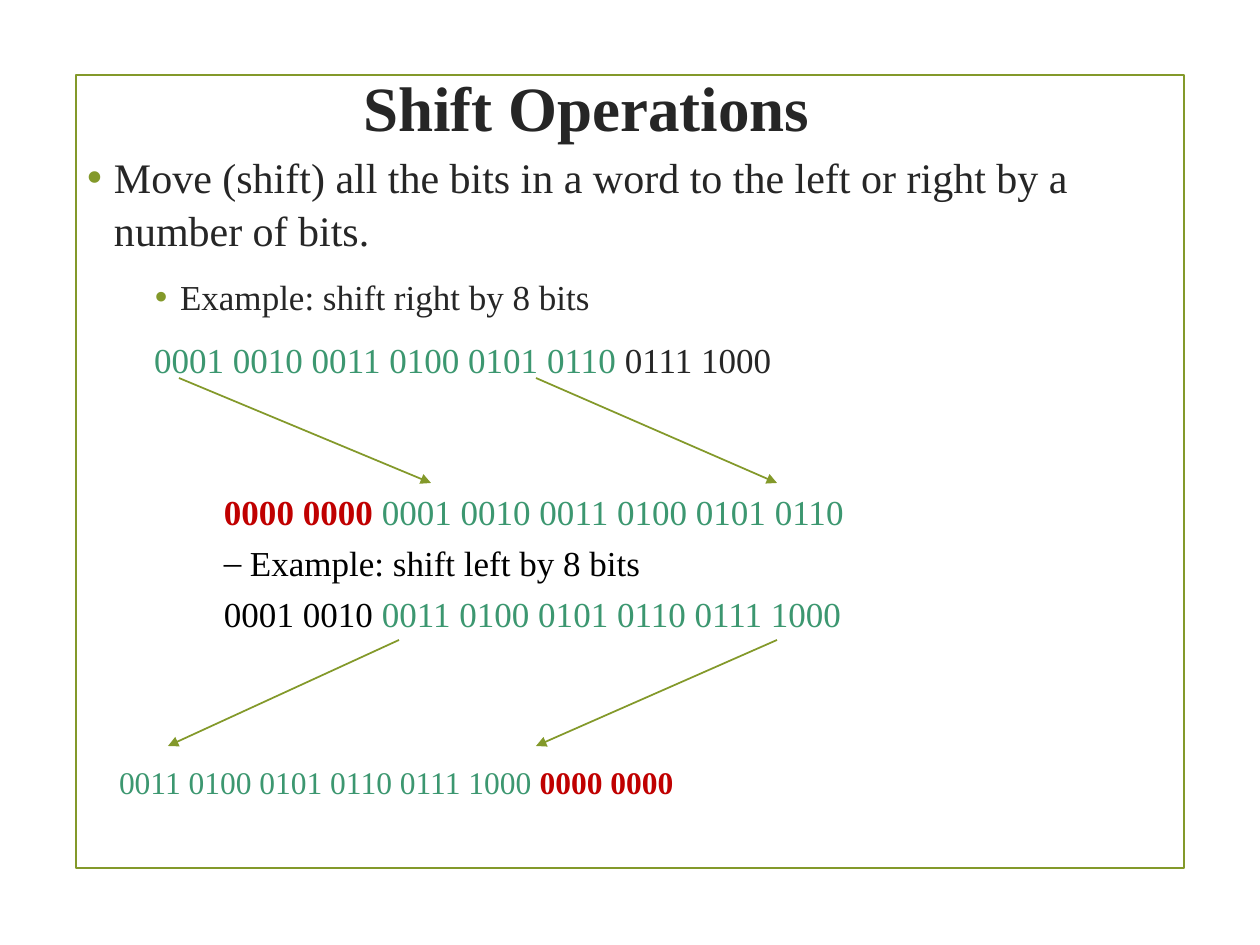
from typing import NamedTuple

from lxml.etree import SubElement
from pptx import Presentation
from pptx.dml.color import RGBColor
from pptx.enum.shapes import MSO_CONNECTOR, MSO_SHAPE
from pptx.enum.text import MSO_ANCHOR, MSO_AUTO_SIZE, PP_ALIGN
from pptx.oxml.ns import qn
from pptx.util import Emu, Pt

SCALE = 914400 / 126
FACE = "Times New Roman"
OLIVE, DARK, BLACK = "83992A", "262626", "000000"
GREEN, RED = "3C9770", "C00000"


class Span(NamedTuple):
    text: str
    color: str
    bold: bool = False


class Line(NamedTuple):
    spans: list[Span]
    size: int = 20
    margin: int = 94
    hang: int = 26
    bullet: str = ""
    tint: str = ""


class Block(NamedTuple):
    left: int
    top: int
    width: int
    height: int
    inset: tuple[int, int]
    lines: list[Line]
    after: int = 0
    spacing: float = 1.0


class Arrow(NamedTuple):
    x1: int
    y1: int
    x2: int
    y2: int


BLOCKS = [
    Block(73, 144, 1113, 254, (13, 6), [
        Line([Span("Move (shift) all the bits in a word to the left or right by a "
                   "number of bits.", DARK)], 24, 28, 28, "•", OLIVE),
        Line([Span("Example: shift right by 8 bits", DARK)],
             bullet="•", tint=OLIVE),
        Line([Span("0001 0010 0011 0100 0101 0110", GREEN),
              Span(" 0111 1000", DARK)]),
    ], after=6, spacing=1.04),
    Block(147, 487, 1113, 151, (9, 4), [
        Line([Span("0000 0000 ", RED, True),
              Span("0001 0010 0011 0100 0101 0110", GREEN)]),
        Line([Span("Example: shift left by 8 bits", BLACK)], bullet="–"),
        Line([Span("0001 0010 ", BLACK),
              Span("0011 0100 0101 0110 0111 1000", GREEN)]),
    ]),
    Block(42, 759, 1113, 45, (9, 4), [
        Line([Span("0011 0100 0101 0110 0111 1000 ", GREEN),
              Span("0000 0000", RED, True)], 18),
    ]),
]

ARROWS = [
    Arrow(179, 378, 431, 483),
    Arrow(536, 378, 777, 483),
    Arrow(399, 640, 168, 746),
    Arrow(777, 640, 536, 746),
]


def px(count: int) -> Emu:
    return Emu(round(count * SCALE))


def rgb(code: str) -> RGBColor:
    return RGBColor.from_string(code)


def style(run, size: int, color: str, bold: bool) -> None:
    font = run.font
    font.name, font.size, font.bold = FACE, Pt(size), bold
    font.color.rgb = rgb(color)


def indent(para, line: Line) -> None:
    """Set the hanging indent and the bullet, if any."""
    props = para._p.get_or_add_pPr()
    props.set("marL", str(px(line.margin)))
    props.set("indent", str(-px(line.hang)))
    if not line.bullet:
        SubElement(props, qn("a:buNone"))
        return
    if line.tint:
        tint = SubElement(props, qn("a:buClr"))
        SubElement(tint, qn("a:srgbClr"), val=line.tint)
        SubElement(props, qn("a:buSzPct"), val="115000")
    SubElement(props, qn("a:buFont"), typeface=FACE)
    SubElement(props, qn("a:buChar"), char=line.bullet)


def write(slide, block: Block) -> None:
    box = slide.shapes.add_textbox(px(block.left), px(block.top),
                                   px(block.width), px(block.height))
    frame = box.text_frame
    frame.word_wrap = True
    frame.margin_left = frame.margin_right = px(block.inset[0])
    frame.margin_top = frame.margin_bottom = px(block.inset[1])
    for index, line in enumerate(block.lines):
        para = frame.add_paragraph() if index else frame.paragraphs[0]
        indent(para, line)
        para.line_spacing = block.spacing
        para.space_before = Pt(5 if index else 0)
        para.space_after = Pt(block.after)
        for span in line.spans:
            run = para.add_run()
            run.text = span.text
            style(run, line.size, span.color, span.bold)


def draw(slide, arrow: Arrow) -> None:
    link = slide.shapes.add_connector(MSO_CONNECTOR.STRAIGHT,
                                      *(px(value) for value in arrow))
    link.line.color.rgb = rgb(OLIVE)
    link.line.width = Pt(1)
    props = link._element.spPr
    SubElement(props.find(qn("a:ln")), qn("a:tailEnd"), type="triangle")
    SubElement(props, qn("a:effectLst"))


def border(slide) -> None:
    rect = slide.shapes.add_shape(MSO_SHAPE.RECTANGLE,
                                  px(76), px(75), px(1108), px(793))
    rect.shadow.inherit = False
    rect.fill.background()
    rect.line.color.rgb = rgb(OLIVE)
    rect.line.width = Pt(1.25)


def head(slide) -> None:
    title = slide.shapes.title
    title.left, title.top = px(283), px(73)
    title.width, title.height = px(607), px(66)
    frame = title.text_frame
    frame.text = "Shift Operations"
    frame.auto_size = MSO_AUTO_SIZE.NONE
    frame.vertical_anchor = MSO_ANCHOR.MIDDLE
    para = frame.paragraphs[0]
    para.alignment = PP_ALIGN.CENTER
    style(para.runs[0], 36, DARK, True)


def main() -> None:
    deck = Presentation()
    deck.slide_width, deck.slide_height = px(1260), px(945)
    slide = deck.slides.add_slide(deck.slide_layouts[5])
    border(slide)
    head(slide)
    for block in BLOCKS:
        write(slide, block)
    for arrow in ARROWS:
        draw(slide, arrow)
    deck.save("out.pptx")


if __name__ == "__main__":
    main()
